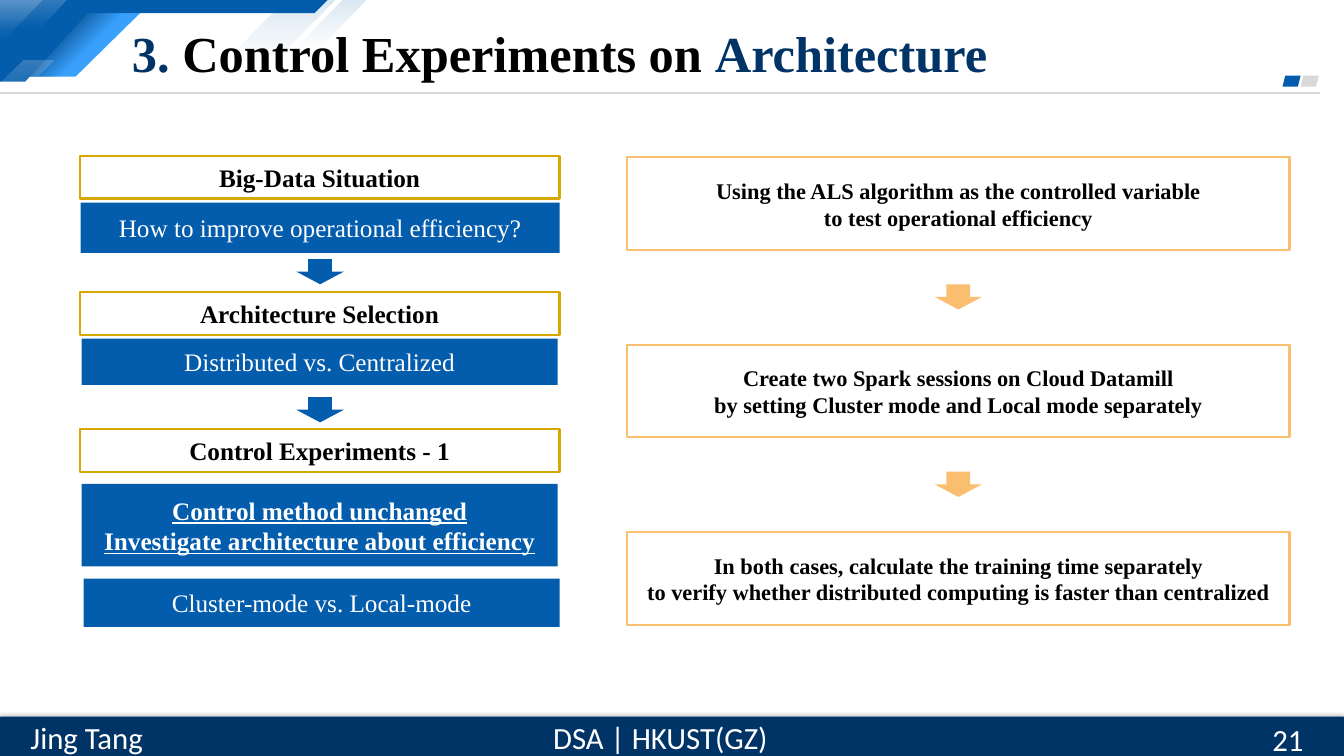
from dataclasses import dataclass

from lxml.etree import SubElement
from pptx import Presentation
from pptx.dml.color import RGBColor
from pptx.enum.shapes import MSO_CONNECTOR, MSO_SHAPE
from pptx.enum.text import MSO_ANCHOR, PP_ALIGN
from pptx.oxml.ns import qn
from pptx.util import Emu, Pt

PX = 9144


@dataclass(frozen=True)
class Theme:
    white: str = "FFFFFF"
    black: str = "000000"
    navy: str = "003366"
    deep: str = "024581"
    blue: str = "035CAC"
    sky: str = "39A0FC"
    gold: str = "D7A800"
    orange: str = "F9BF6F"
    grey: str = "D9D9D9"
    serif: str = "Times New Roman"
    sans: str = "Calibri"
    title: int = 36
    footer: int = 22
    step: int = 18
    detail: int = 16
    line: float = 1.5


T = Theme()


def px(*values):
    return [Emu(v * PX) for v in values]


def rgb(color):
    return RGBColor.from_string(color)


def paint(s, fill=None, line=None):
    s.shadow.inherit = False
    if fill:
        s.fill.solid()
        s.fill.fore_color.rgb = rgb(fill)
    else:
        s.fill.background()
    if line:
        s.line.color.rgb = rgb(line)
        s.line.width = Pt(T.line)
    else:
        s.line.fill.background()


def fade(s, color, stops, angle):
    spPr = s._element.spPr
    solid = spPr.find(qn("a:solidFill"))
    grad = SubElement(spPr, qn("a:gradFill"), rotWithShape="1")
    spPr.replace(solid, grad)
    gs_lst = SubElement(grad, qn("a:gsLst"))
    for pos, alpha in stops:
        gs = SubElement(gs_lst, qn("a:gs"), pos=str(pos * 1000))
        clr = SubElement(gs, qn("a:srgbClr"), val=color)
        SubElement(clr, qn("a:alpha"), val=str(alpha * 1000))
    SubElement(grad, qn("a:lin"), ang=str(angle * 60000), scaled="0")


def add_polygon(slide, points, color, stops=None, angle=90):
    builder = slide.shapes.build_freeform(*points[0], scale=PX)
    builder.add_line_segments(points[1:], close=True)
    s = builder.convert_to_shape()
    paint(s, color)
    if stops:
        fade(s, color, stops, angle)


def add_shape(slide, kind, box, fill=None, line=None):
    s = slide.shapes.add_shape(kind, *px(*box))
    paint(s, fill, line)
    return s


def write(s, lines, size, font, bold=False, underline=None, align=PP_ALIGN.CENTER):
    tf = s.text_frame
    tf.word_wrap = True
    tf.vertical_anchor = MSO_ANCHOR.MIDDLE
    for i, runs in enumerate(lines):
        p = tf.paragraphs[0] if i == 0 else tf.add_paragraph()
        p.alignment = align
        for text, color in runs:
            r = p.add_run()
            r.text = text
            r.font.size = Pt(size)
            r.font.name = font
            r.font.bold = bold
            r.font.underline = underline
            r.font.color.rgb = rgb(color)


def add_text(slide, box, runs, size, font, **style):
    write(slide.shapes.add_textbox(*px(*box)), [runs], size, font, **style)


def add_box(slide, box, lines, size, color, fill=None, line=None, **style):
    s = add_shape(slide, MSO_SHAPE.RECTANGLE, box, fill, line)
    write(s, [[(text, color)] for text in lines], size, T.serif, **style)


def add_heading(slide, top, text):
    add_box(slide, (79, top, 476, 42), [text], T.step, T.black,
            T.white, T.gold, bold=True)


def add_answer(slide, box, *lines, **style):
    add_box(slide, box, lines, T.step, T.white, T.blue, **style)


def add_arrow(slide, left, top, color):
    add_shape(slide, MSO_SHAPE.DOWN_ARROW, (left, top, 47, 25), color)


def add_corner(slide):
    band = [(84, 7), (145, 7), (75, 76), (16, 76)]
    add_polygon(slide, band, T.sky)
    add_polygon(slide, band, T.deep, [(29, 100), (57, 0)], 45)
    add_polygon(slide, [(0, 0), (325, 0), (312, 13), (87, 13), (25, 81), (0, 81)], T.blue)
    glints = [
        (T.white, 20, [(0, 0), (42, 0), (0, 42)]),
        (T.white, 20, [(0, 0), (66, 0), (39, 28), (0, 28)]),
        (T.blue, 15, [(284, 0), (333, 0), (272, 61), (222, 61)]),
        (T.blue, 15, [(340, 0), (364, 0), (315, 49), (291, 49)]),
        (T.white, 20, [(23, 60), (53, 60), (0, 113), (0, 83)]),
    ]
    for color, alpha, points in glints:
        add_polygon(slide, points, color, [(0, alpha), (100, 0)])


def add_header(slide):
    rule = slide.shapes.add_connector(MSO_CONNECTOR.STRAIGHT, *px(0, 92, 1309, 92))
    rule.line.color.rgb = rgb(T.grey)
    rule.line.width = Pt(T.line)
    SubElement(rule._element.spPr, qn("a:effectLst"))
    for left, color in ((1290, T.grey), (1272, T.blue)):
        add_shape(slide, MSO_SHAPE.PARALLELOGRAM, (left, 75, 18, 11), color)
    title = [("3. ", T.navy), ("Control Experiments on ", T.black), ("Architecture", T.navy)]
    add_text(slide, (121, 17, 1021, 69), title, T.title, T.serif,
             bold=True, align=PP_ALIGN.LEFT)


def add_footer(slide):
    bar = add_shape(slide, MSO_SHAPE.RECTANGLE, (0, 711, 1333, 39), T.navy)
    effects = bar._element.spPr.find(qn("a:effectLst"))
    shadow = SubElement(effects, qn("a:outerShdw"), blurRad=str(Pt(4.5)),
                        dist=str(Pt(1.5)), dir="5400000", rotWithShape="0")
    clr = SubElement(shadow, qn("a:srgbClr"), val=T.black)
    SubElement(clr, qn("a:alpha"), val="63000")
    for box, text, align in (
        ((536, 708, 238, 47), "DSA | HKUST(GZ)", PP_ALIGN.CENTER),
        ((16, 708, 140, 47), "Jing Tang", PP_ALIGN.CENTER),
        ((1252, 713, 81, 40), "21", PP_ALIGN.LEFT),
    ):
        add_text(slide, box, [(text, T.white)], T.footer, T.sans, align=align)


def add_situation_flow(slide):
    add_heading(slide, 155, "Big-Data Situation")
    add_answer(slide, (80, 201, 475, 50), "How to improve operational efficiency?")
    add_arrow(slide, 294, 257, T.blue)
    add_heading(slide, 290, "Architecture Selection")
    add_answer(slide, (81, 336, 472, 46), "Distributed vs. Centralized")
    add_arrow(slide, 294, 394, T.blue)
    add_heading(slide, 426, "Control Experiments - 1")
    add_answer(slide, (81, 480, 472, 82), "Control method unchanged",
               "Investigate architecture about efficiency", bold=True, underline=True)
    add_answer(slide, (83, 574, 472, 48), "Cluster-mode vs. Local-mode")


def add_experiment_flow(slide):
    steps = [
        ("Using the ALS algorithm as the controlled variable",
         "to test operational efficiency"),
        ("Create two Spark sessions on Cloud Datamill",
         "by setting Cluster mode and Local mode separately"),
        ("In both cases, calculate the training time separately",
         "to verify whether distributed computing is faster than centralized"),
    ]
    for i, lines in enumerate(steps):
        top = 156 + 186 * i
        add_box(slide, (622, top, 657, 92), lines, T.detail, T.black,
                line=T.orange, bold=True)
        if i < len(steps) - 1:
            add_arrow(slide, 927, top + 126, T.orange)


def main():
    prs = Presentation()
    prs.slide_width, prs.slide_height = px(1333, 750)
    slide = prs.slides.add_slide(prs.slide_layouts[6])
    add_corner(slide)
    add_header(slide)
    add_footer(slide)
    add_situation_flow(slide)
    add_experiment_flow(slide)
    prs.save("out.pptx")


if __name__ == "__main__":
    main()
